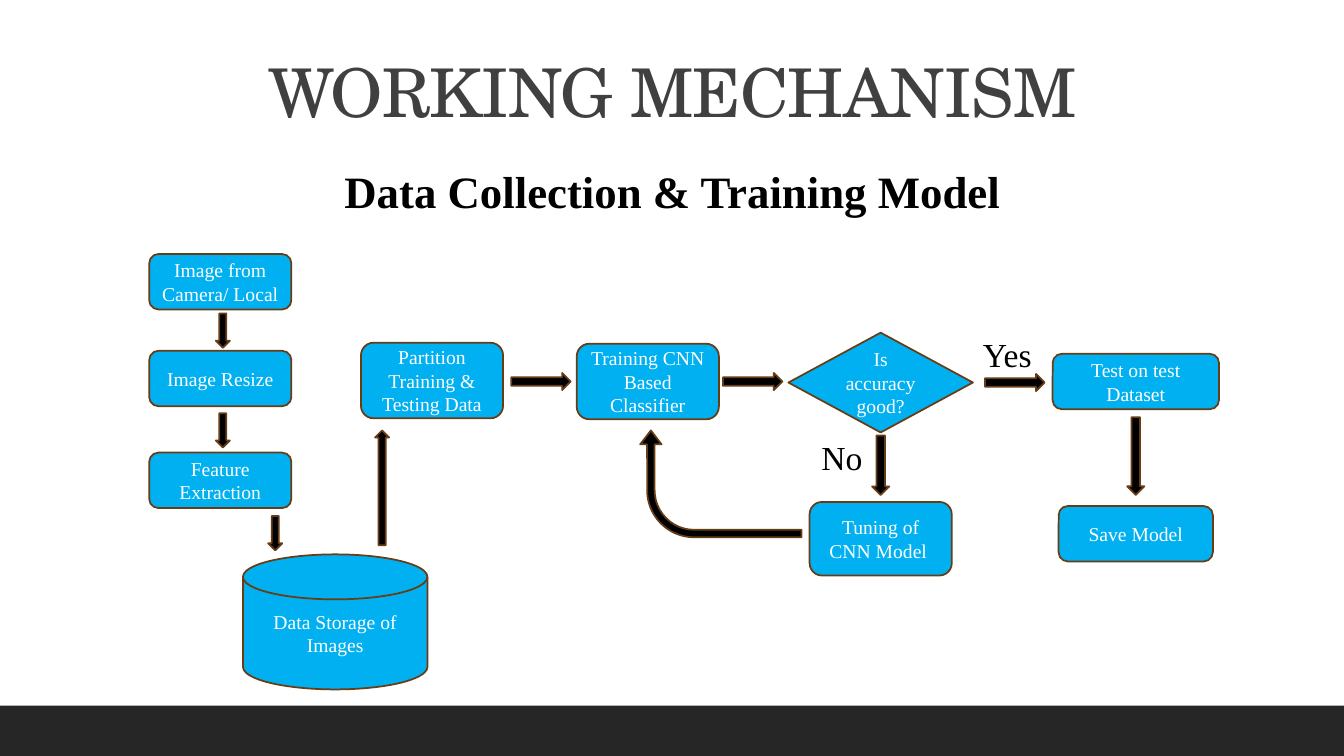
"""Build the working mechanism flowchart slide."""
from dataclasses import dataclass

from pptx import Presentation
from pptx.dml.color import RGBColor
from pptx.enum.shapes import MSO_SHAPE
from pptx.enum.text import MSO_ANCHOR, MSO_AUTO_SIZE, PP_ALIGN
from pptx.shapes.autoshape import Shape
from pptx.slide import Slide
from pptx.text.text import TextFrame
from pptx.util import Inches, Pt

WHITE = RGBColor(0xFF, 0xFF, 0xFF)
BLACK = RGBColor(0x00, 0x00, 0x00)
BLUE = RGBColor(0x00, 0xB0, 0xF0)
BROWN = RGBColor(0x66, 0x3D, 0x16)
CHARCOAL = RGBColor(0x26, 0x26, 0x26)
TITLE_GRAY = RGBColor(0x40, 0x40, 0x40)
BODY_FONT = "Times New Roman"
TITLE_FONT = "TeX Gyre Schola"


@dataclass(frozen=True)
class Box:
    left: float
    top: float
    width: float
    height: float


@dataclass(frozen=True)
class Step:
    text: str
    box: Box
    kind: MSO_SHAPE = MSO_SHAPE.ROUNDED_RECTANGLE


@dataclass(frozen=True)
class Arrow:
    box: Box
    rotation: float = 0
    kind: MSO_SHAPE = MSO_SHAPE.DOWN_ARROW
    adjustments: tuple[float, ...] = ()


@dataclass(frozen=True)
class Label:
    text: str
    box: Box
    size: float
    color: RGBColor = BLACK
    font: str = BODY_FONT
    bold: bool = False


FOOTER = Box(0, 7, 13.33, 0.5)

STEPS = [
    Step("Image from Camera/ Local", Box(1.48, 2.52, 1.41, 0.55)),
    Step("Image Resize", Box(1.48, 3.48, 1.41, 0.55)),
    Step("Feature Extraction", Box(1.48, 4.49, 1.41, 0.55)),
    Step("Data Storage of Images", Box(2.41, 5.5, 1.83, 1.34), MSO_SHAPE.FLOWCHART_MAGNETIC_DISK),
    Step("Partition Training & Testing Data", Box(3.58, 3.4, 1.41, 0.75)),
    Step("Training CNN Based Classifier", Box(5.72, 3.41, 1.41, 0.75)),
    Step("Test on test Dataset", Box(10.44, 3.51, 1.65, 0.55)),
    Step("Tuning of CNN Model ", Box(8.03, 4.98, 1.41, 0.73)),
    Step("Is accuracy good?", Box(7.82, 3.3, 1.83, 0.99), MSO_SHAPE.FLOWCHART_DECISION),
    Step("Save Model", Box(10.5, 5.02, 1.53, 0.55)),
]

ARROWS = [
    Arrow(Box(2.14, 3.11, 0.14, 0.34)),
    Arrow(Box(2.14, 4.1, 0.14, 0.34)),
    Arrow(Box(2.66, 5.12, 0.14, 0.34)),
    Arrow(Box(3.72, 4.27, 0.14, 1.14), 180),
    Arrow(Box(5.28, 3.49, 0.17, 0.59), 270),
    Arrow(Box(7.38, 3.49, 0.17, 0.59), 270),
    Arrow(Box(8.65, 4.32, 0.17, 0.59)),
    Arrow(Box(6.62, 4, 1.06, 1.6), 270, MSO_SHAPE.BENT_ARROW, (0.07, 0.1, 0.13, 0.44)),
    Arrow(Box(9.98, 3.5, 0.17, 0.59), 270),
    Arrow(Box(11.18, 4.14, 0.17, 0.77)),
]

LABELS = [
    Label("Data Collection & Training Model", Box(2.48, 1.58, 8.38, 0.64), 32, bold=True),
    Label("Yes", Box(9.54, 3.26, 0.9, 0.5), 24),
    Label("No", Box(7.9, 4.29, 0.9, 0.5), 24),
]

TITLE = Label("WORKING MECHANISM", Box(1.17, 0.44, 11, 0.92), 48, TITLE_GRAY, TITLE_FONT)


def lengths(box: Box) -> tuple[Inches, Inches, Inches, Inches]:
    return Inches(box.left), Inches(box.top), Inches(box.width), Inches(box.height)


def write_text(frame: TextFrame, label: Label) -> None:
    frame.word_wrap = True
    paragraph = frame.paragraphs[0]
    paragraph.alignment = PP_ALIGN.CENTER
    paragraph.add_run().text = label.text
    paragraph.font.name = label.font
    paragraph.font.size = Pt(label.size)
    paragraph.font.bold = label.bold
    paragraph.font.color.rgb = label.color


def add_filled_shape(slide: Slide, kind: MSO_SHAPE, box: Box, fill: RGBColor) -> Shape:
    shape = slide.shapes.add_shape(kind, *lengths(box))
    shape.shadow.inherit = False
    shape.fill.solid()
    shape.fill.fore_color.rgb = fill
    return shape


def outline(shape: Shape) -> None:
    shape.line.color.rgb = BROWN
    shape.line.width = Pt(1.25)


def add_footer(slide: Slide) -> None:
    footer = add_filled_shape(slide, MSO_SHAPE.RECTANGLE, FOOTER, CHARCOAL)
    footer.line.fill.background()


def add_step(slide: Slide, step: Step) -> None:
    shape = add_filled_shape(slide, step.kind, step.box, BLUE)
    outline(shape)
    shape.text_frame.vertical_anchor = MSO_ANCHOR.MIDDLE
    write_text(shape.text_frame, Label(step.text, step.box, 14, WHITE))


def add_arrow(slide: Slide, arrow: Arrow) -> None:
    shape = add_filled_shape(slide, arrow.kind, arrow.box, BLACK)
    outline(shape)
    shape.rotation = arrow.rotation
    for index, value in enumerate(arrow.adjustments):
        shape.adjustments[index] = value


def add_label(slide: Slide, label: Label) -> TextFrame:
    frame = slide.shapes.add_textbox(*lengths(label.box)).text_frame
    write_text(frame, label)
    frame.auto_size = MSO_AUTO_SIZE.SHAPE_TO_FIT_TEXT
    return frame


def add_title(slide: Slide) -> None:
    frame = add_label(slide, TITLE)
    frame.auto_size = MSO_AUTO_SIZE.NONE
    frame.vertical_anchor = MSO_ANCHOR.BOTTOM
    paragraph = frame.paragraphs[0]
    paragraph.line_spacing = 0.9
    paragraph.runs[0]._r.get_or_add_rPr().set("spc", "-50")


def main() -> None:
    presentation = Presentation()
    presentation.slide_width = Inches(13.33)
    presentation.slide_height = Inches(7.5)
    slide = presentation.slides.add_slide(presentation.slide_layouts[6])
    add_footer(slide)
    for step in STEPS:
        add_step(slide, step)
    for arrow in ARROWS:
        add_arrow(slide, arrow)
    for label in LABELS:
        add_label(slide, label)
    add_title(slide)
    presentation.save("out.pptx")


if __name__ == "__main__":
    main()
